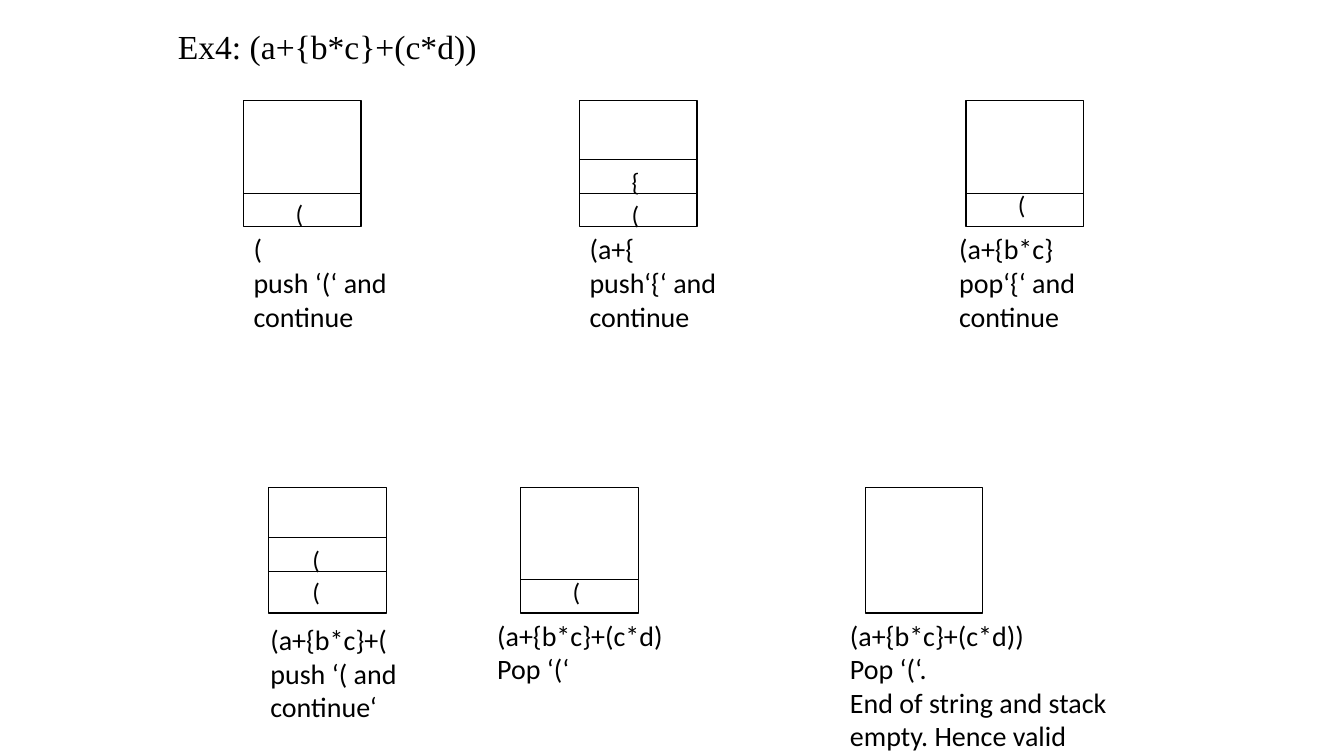
from pptx import Presentation
from pptx import util as u
from pptx.dml.color import RGBColor
from pptx.enum import shapes, text
from pptx.oxml.ns import qn
from lxml import etree

PX = 9525
BLACK = RGBColor(0, 0, 0)
WHITE = RGBColor(255, 255, 255)
WIDE, HIGH = 112, 120

STACKS = [
    (232, 96, [88], [("(", 40, 88)],
     (0, 120, 160, 107), ["(", "push ‘(‘ and continue"]),
    (552, 96, [56, 88], [("{", 40, 58), ("(", 40, 89)],
     (0, 120, 160, 107), ["(a+{", "push‘{‘ and continue"]),
    (920, 96, [88], [("(", 40, 80)],
     (-16, 120, 160, 107), ["(a+{b*c}", "pop‘{‘ and continue"]),
    (256, 464, [48, 80], [("(", 32, 50), ("(", 32, 80)],
     (-8, 124, 168, 107), ["(a+{b*c}+(", "push ‘( and continue‘"]),
    (496, 464, [88], [("(", 40, 80)],
     (-32, 120, 200, 74), ["(a+{b*c}+(c*d)", "Pop ‘(‘"]),
    (824, 464, [], [],
     (-24, 120, 264, 139),
     ["(a+{b*c}+(c*d))", "Pop ‘(‘.", "End of string and stack empty. Hence valid"]),
]


def px(*sizes):
    return [size * PX for size in sizes]


def write(slide, box, lines, size, face="Calibri"):
    frame = slide.shapes.add_textbox(*px(*box)).text_frame
    frame.word_wrap = True
    frame.vertical_anchor = text.MSO_ANCHOR.TOP
    frame.text = "\n".join(lines)
    for para in frame.paragraphs:
        para.font.name = face
        para.font.size = u.Pt(size)
        para.font.color.rgb = BLACK
    return frame


def add_title(slide, box):
    frame = write(slide, box, ["Ex4: (a+{b*c}+(c*d))"], 24, "Times New Roman")
    para = frame.paragraphs[0]
    para.line_spacing = 0.9
    para.space_before = u.Pt(10)


def add_rule(slide, x, y, width):
    rule = slide.shapes.add_connector(
        shapes.MSO_CONNECTOR.STRAIGHT, *px(x, y, x + width, y))
    rule.line.color.rgb = BLACK
    rule.line.width = u.Pt(0.5)
    etree.SubElement(rule._element.spPr, qn("a:effectLst"))


def add_stack(slide, x, y, rules, signs, note, lines):
    frame = slide.shapes.add_shape(
        shapes.MSO_SHAPE.RECTANGLE, *px(x, y, WIDE, HIGH))
    frame.shadow.inherit = False
    frame.fill.solid()
    frame.fill.fore_color.rgb = WHITE
    frame.line.color.rgb = BLACK
    frame.line.width = u.Pt(1)
    for drop in rules:
        add_rule(slide, x, y + drop, WIDE)
    for sign, left, top in signs:
        write(slide, (x + left, y + top, 32, 38), [sign], 18)
    left, top, width, height = note
    write(slide, (x + left, y + top, width, height), lines, 20)


def main():
    deck = Presentation()
    deck.slide_width, deck.slide_height = px(1280, 720)
    slide = deck.slides.add_slide(deck.slide_layouts[6])
    add_title(slide, (160, 24, 864, 696))
    for stack in STACKS:
        add_stack(slide, *stack)
    deck.save("out.pptx")


if __name__ == "__main__":
    main()
